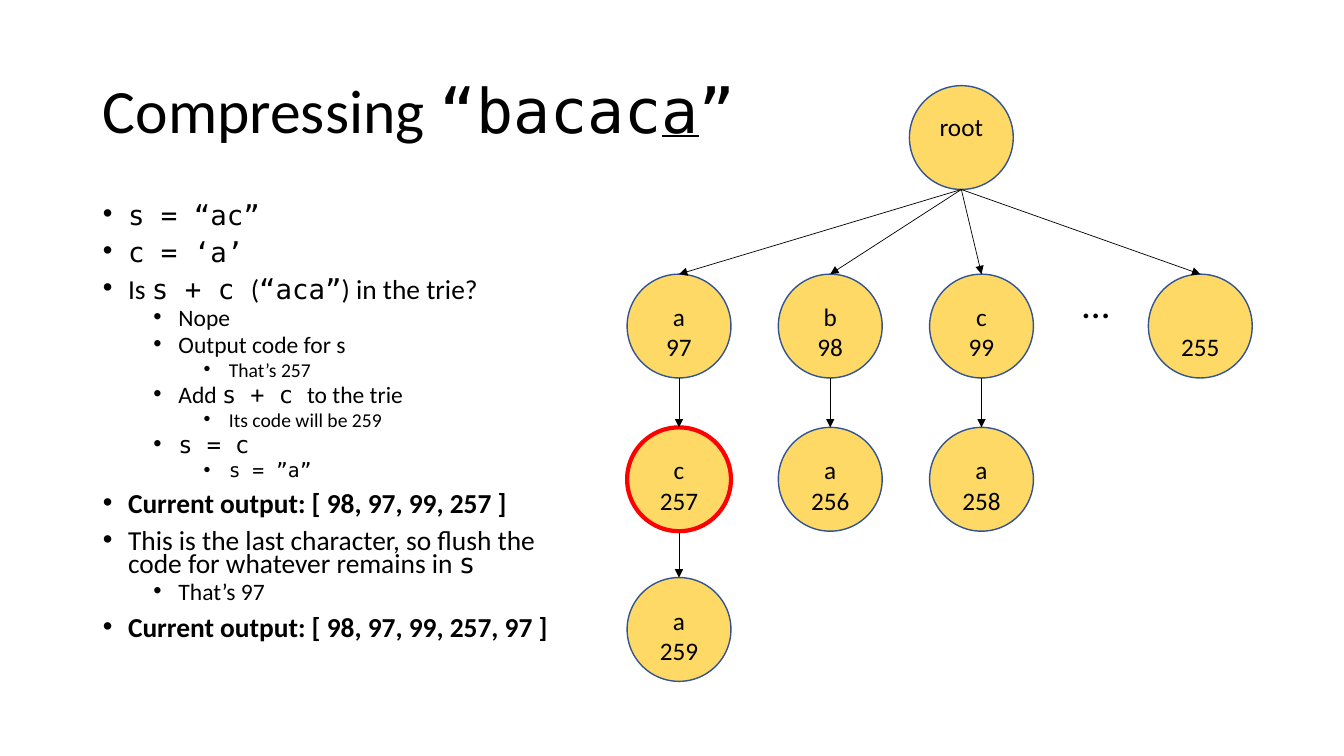
from lxml import etree
from pptx import Presentation
from pptx import util as u
from pptx.dml.color import RGBColor
from pptx.enum import shapes, text
from pptx.oxml.ns import qn

COLORS = {"text": "000000", "node": "FFD966", "outline": "325491", "current": "FF0000"}
SANS, MONO = "Calibri", "DejaVu Sans Mono"
DIAMETER = 1.03
COLUMNS = [6.22 + 1.5 * index for index in range(3)] + [11.39]
ROWS = [0.85, 2.72, 4.24, 5.73]
ROOT_LEFT = 9.02


def add_run(paragraph, words, size, **formats):
    run = paragraph.add_run()
    run.text = words
    run.font.color.rgb = RGBColor.from_string(COLORS["text"])
    for name, value in {"name": SANS, "size": u.Pt(size), **formats}.items():
        setattr(run.font, name, value)


def add_label(left, top, width, height, lines, size, anchor):
    box = slide.shapes.add_textbox(*map(u.Inches, (left, top, width, height)))
    box.text_frame.word_wrap = True
    box.text_frame.vertical_anchor = anchor
    for index, line in enumerate(lines):
        paragraph = box.text_frame.add_paragraph() if index else box.text_frame.paragraphs[0]
        paragraph.alignment = text.PP_ALIGN.CENTER
        add_run(paragraph, line, size)


presentation = Presentation()
presentation.slide_width = u.Inches(13.33)
presentation.slide_height = u.Inches(7.5)
slide = presentation.slides.add_slide(presentation.slide_layouts[1])
title, body = slide.placeholders

for placeholder, bounds, anchor in [
    (title, (0.92, 0.4, 11.5, 1.45), text.MSO_ANCHOR.MIDDLE),
    (body, (0.92, 2, 4.85, 4.76), text.MSO_ANCHOR.TOP),
]:
    for name, value in zip(("left", "top", "width", "height"), bounds):
        setattr(placeholder, name, u.Inches(value))
    frame_format = {"word_wrap": True, "auto_size": text.MSO_AUTO_SIZE.NONE, "vertical_anchor": anchor}
    for name, value in frame_format.items():
        setattr(placeholder.text_frame, name, value)

heading = title.text_frame.paragraphs[0]
heading.alignment = text.PP_ALIGN.LEFT
heading.line_spacing = 0.9
add_run(heading, "Compressing ", 44)
for words, underline in [("“bacac", False), ("a", True), ("”", False)]:
    add_run(heading, words, 44, name=MONO, underline=underline)

steps = [
    (0, "`s = “ac”`", False),
    (0, "`c = ‘a’`", False),
    (0, "Is `s + c `(`“aca”`) in the trie?", False),
    (1, "Nope", False),
    (1, "Output code for s", False),
    (2, "That’s 257", False),
    (1, "Add `s + c `to the trie", False),
    (2, "Its code will be 259", False),
    (1, "`s = c`", False),
    (2, "`s = ”a”`", False),
    (0, "Current output: [ 98, 97, 99, 257 ]", True),
    (0, "This is the last character, so flush the code for whatever remains in `s`", False),
    (1, "That’s 97", False),
    (0, "Current output: [ 98, 97, 99, 257, 97 ]", True),
]
for index, (level, words, bold) in enumerate(steps):
    paragraph = body.text_frame.add_paragraph() if index else body.text_frame.paragraphs[0]
    paragraph_format = {
        "level": level,
        "alignment": text.PP_ALIGN.LEFT,
        "line_spacing": 0.7,
        "space_before": u.Pt(5 if level else 10),
    }
    for name, value in paragraph_format.items():
        setattr(paragraph, name, value)
    properties = paragraph._p.get_or_add_pPr()
    properties.set("marL", str(u.Inches(0.25 + 0.5 * level)))
    properties.set("indent", str(u.Inches(-0.25)))
    etree.SubElement(properties, qn("a:buFont"), typeface="Arial")
    etree.SubElement(properties, qn("a:buChar"), char="•")
    for part, piece in enumerate(words.split("`")):
        if piece:
            add_run(paragraph, piece, (19.6, 16.8, 14)[level], name=MONO if part % 2 else SANS, bold=bold)

nodes = {
    "root": (ROOT_LEFT, 0, "root", None),
    "97": (COLUMNS[0], 1, "a", "root"),
    "98": (COLUMNS[1], 1, "b", "root"),
    "99": (COLUMNS[2], 1, "c", "root"),
    "255": (COLUMNS[3], 1, "", "root"),
    "257": (COLUMNS[0], 2, "c", "97"),
    "256": (COLUMNS[1], 2, "a", "98"),
    "258": (COLUMNS[2], 2, "a", "99"),
    "259": (COLUMNS[0], 3, "a", "257"),
}
for code, (left, row, letter, parent) in nodes.items():
    top = ROWS[row]
    circle = slide.shapes.add_shape(
        shapes.MSO_SHAPE.OVAL, *map(u.Inches, (left, top, DIAMETER, DIAMETER))
    )
    circle.shadow.inherit = False
    circle.fill.solid()
    circle.fill.fore_color.rgb = RGBColor.from_string(COLORS["node"])
    current = code == "257"
    circle.line.color.rgb = RGBColor.from_string(COLORS["current" if current else "outline"])
    circle.line.width = u.Pt(3 if current else 1)

    lines = [line for line in (letter, code) if line] if parent else [letter]
    anchor = text.MSO_ANCHOR.BOTTOM if parent else text.MSO_ANCHOR.TOP
    add_label(left, top + 0.21, DIAMETER, 0.71, lines, 18, anchor)

    if parent:
        parent_left, parent_row = nodes[parent][:2]
        ends = (parent_left + DIAMETER / 2, ROWS[parent_row] + DIAMETER, left + DIAMETER / 2, top)
        edge = slide.shapes.add_connector(shapes.MSO_CONNECTOR.STRAIGHT, *map(u.Inches, ends))
        edge.line.color.rgb = RGBColor.from_string(COLORS["text"])
        edge.line.width = u.Pt(0.5)
        etree.SubElement(edge.line._get_or_add_ln(), qn("a:tailEnd"), type="triangle")
        etree.SubElement(edge._element.spPr, qn("a:effectLst"))

add_label(10.22, ROWS[1], 1.3, 0.85, ["…"], 28, text.MSO_ANCHOR.TOP)

presentation.save("out.pptx")
